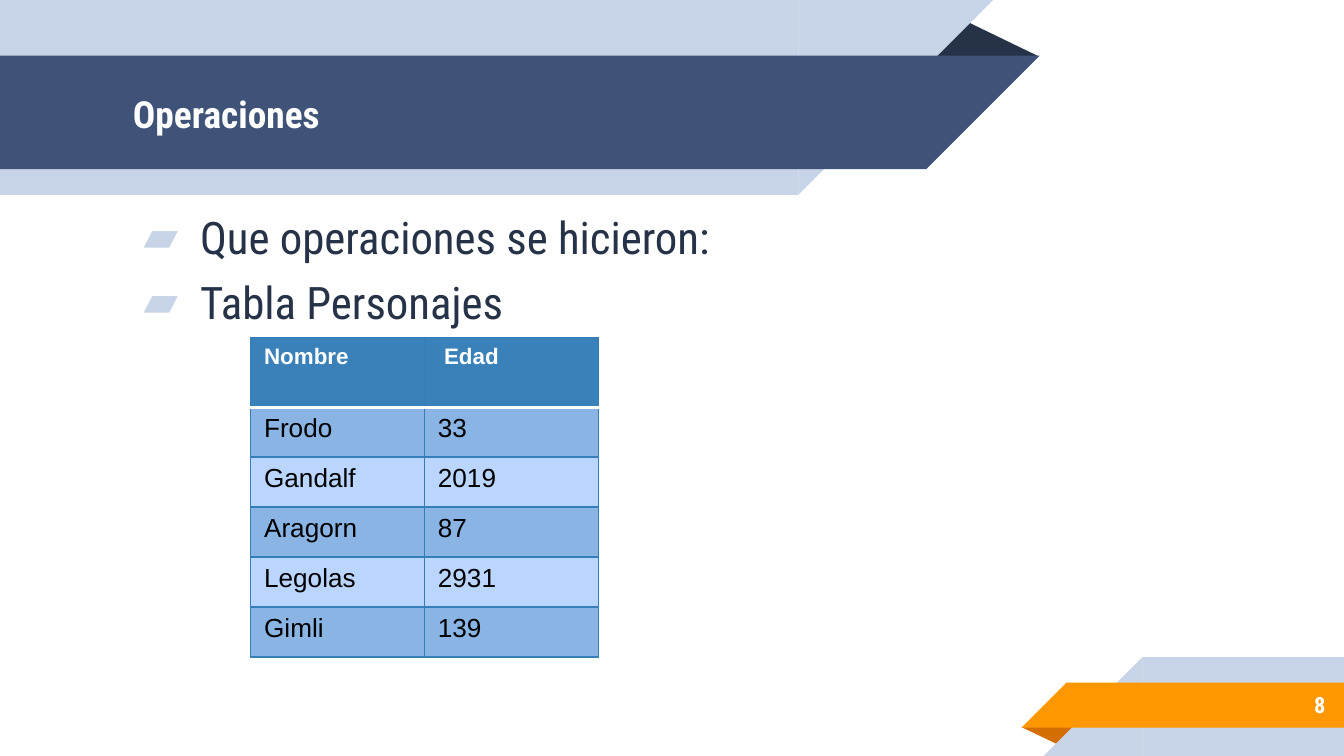
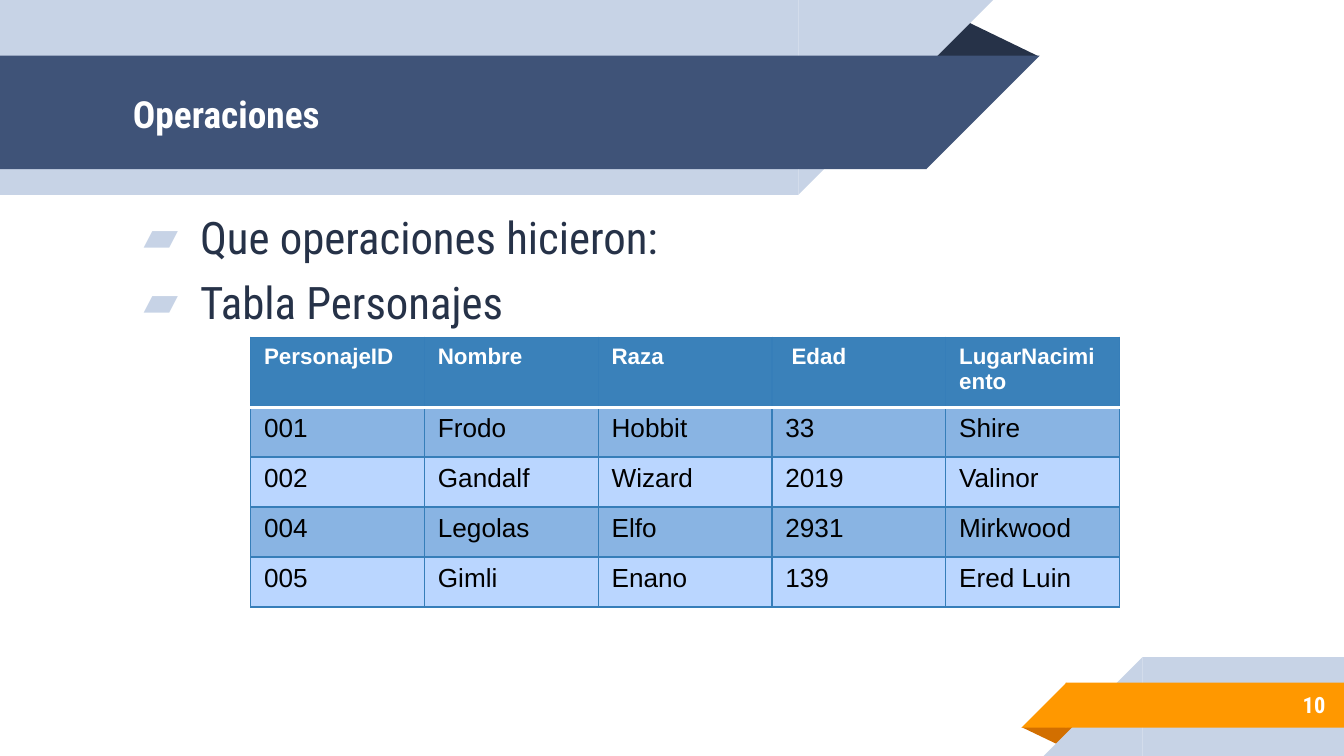
from lxml import etree
from pptx import Presentation
from pptx.dml.color import RGBColor
from pptx.enum.shapes import MSO_SHAPE
from pptx.enum.text import MSO_ANCHOR, PP_ALIGN
from pptx.oxml.ns import qn
from pptx.util import Inches, Pt

RECTANGLE = MSO_SHAPE.RECTANGLE
CORNER = MSO_SHAPE.RIGHT_TRIANGLE
FOLD = MSO_SHAPE.ISOSCELES_TRIANGLE
TOP, MIDDLE = MSO_ANCHOR.TOP, MSO_ANCHOR.MIDDLE
LEFT, RIGHT = PP_ALIGN.LEFT, PP_ALIGN.RIGHT

NAVY, BLUE, PALE = "263248", "3F5378", "C7D3E6"
ORANGE, RUST, WHITE, BLACK = "FF9800", "D26F00", "FFFFFF", "000000"
TABLE_HEADER, TABLE_LINE = "3A81BA", "367EB9"
ROW_FILLS = ["BAD6FF", "89B4E3"]
SLIDE_FONT, TABLE_FONT = "Roboto Condensed", "Arial"
color = RGBColor.from_string

presentation = Presentation()
presentation.slide_width = Inches(10)
presentation.slide_height = presentation.slide_width * 9 // 16
UNIT = presentation.slide_width / 100  # square grid, 100 columns wide

# Shape, fill, rotation, then left, top, width and height in grid units
BANDS = [
    (FOLD, NAVY, 0, (68.8, 1.4, 8.5, 2.8)),
    (RECTANGLE, PALE, 0, (0, 0, 59.4, 14.5)),
    (CORNER, PALE, 90, (59.4, 0, 14.5, 14.5)),
    (RECTANGLE, BLUE, 0, (0, 4.15, 68.9, 8.45)),
    (CORNER, BLUE, 90, (68.9, 4.15, 8.45, 8.45)),
    (FOLD, RUST, 180, (76, 54.1, 4.3, 1.4)),
    (RECTANGLE, PALE, 0, (85, 48.9, 15, 7.35)),
    (CORNER, PALE, 270, (77.65, 48.9, 7.35, 7.35)),
    (RECTANGLE, ORANGE, 0, (79.3, 50.8, 20.7, 3.35)),
    (CORNER, ORANGE, 270, (76, 50.8, 3.35, 3.35)),
]
TABLE_LEFT, TABLE_TOP, COLUMN_WIDTH = 18.65, 25.1, 12.93
HEADER_HEIGHT, ROW_HEIGHT = 5.2, 3.72

SLIDES = [
    ("8", "Que operaciones se hicieron:", [
        ["Nombre", " Edad"],
        ["Frodo", "33"],
        ["Gandalf", "2019"],
        ["Aragorn", "87"],
        ["Legolas", "2931"],
        ["Gimli", "139"],
    ]),
    ("10", "Que operaciones hicieron:", [
        ["PersonajeID", "Nombre", "Raza", " Edad", "LugarNacimiento"],
        ["001", "Frodo", "Hobbit", "33", "Shire"],
        ["002", "Gandalf", "Wizard", "2019", "Valinor"],
        ["004", "Legolas", "Elfo", "2931", "Mirkwood"],
        ["005", "Gimli", "Enano", "139", "Ered Luin"],
    ]),
]


def on_grid(*units):
    """Turn grid units into slide lengths."""
    return [round(value * UNIT) for value in units]


def add_text(slide, box, lines, size, fill, bold, anchor, alignment):
    """Add a text box and return its paragraphs."""
    frame = slide.shapes.add_textbox(*on_grid(*box)).text_frame
    frame.word_wrap = True
    frame.vertical_anchor = anchor
    frame.margin_left = frame.margin_right = Inches(0.1)
    frame.margin_top = frame.margin_bottom = Inches(0.1)
    frame.text = "\n".join(lines)
    for paragraph in frame.paragraphs:
        paragraph.alignment = alignment
        paragraph.font.name = SLIDE_FONT
        paragraph.font.size = Pt(size)
        paragraph.font.bold = bold
        paragraph.font.color.rgb = color(fill)
    return frame.paragraphs


for number, question, rows in SLIDES:
    slide = presentation.slides.add_slide(presentation.slide_layouts[6])

    for kind, fill, rotation, box in BANDS:
        shape = slide.shapes.add_shape(kind, *on_grid(*box))
        shape.shadow.inherit = False
        shape.fill.solid()
        shape.fill.fore_color.rgb = color(fill)
        shape.line.fill.background()
        shape.rotation = rotation
        if kind == FOLD:
            shape.adjustments[0] = 0.32

    add_text(slide, (8.9, 4.25, 60.1, 8.4), ["Operaciones"], 20, WHITE, True, MIDDLE, LEFT)
    add_text(slide, (83.3, 50.7, 16.3, 3.5), [number], 12, WHITE, True, MIDDLE, RIGHT)
    bullets = add_text(slide, (8.9, 14.6, 67.1, 34.4), [question, "Tabla Personajes"],
                       24, NAVY, False, TOP, LEFT)
    for paragraph in bullets:
        paragraph.space_before = Pt(6)
        properties = paragraph._p.get_or_add_pPr()
        properties.set("marL", str(Inches(0.5)))
        properties.set("indent", str(Inches(-0.42)))
        bullet_color = etree.SubElement(properties, qn("a:buClr"))
        etree.SubElement(bullet_color, qn("a:srgbClr"), val=PALE)
        etree.SubElement(properties, qn("a:buFont"), typeface=SLIDE_FONT)
        etree.SubElement(properties, qn("a:buChar"), char="▰")

    column_count = len(rows[0])
    heights = [HEADER_HEIGHT] + [ROW_HEIGHT] * (len(rows) - 1)
    table = slide.shapes.add_table(
        len(rows), column_count,
        *on_grid(TABLE_LEFT, TABLE_TOP, COLUMN_WIDTH * column_count, sum(heights))).table
    for row, height in zip(table.rows, on_grid(*heights)):
        row.height = height

    for row_index, values in enumerate(rows):
        is_header = row_index == 0
        for column_index, value in enumerate(values):
            cell = table.cell(row_index, column_index)
            cell.text = value
            cell.margin_left = cell.margin_right = Inches(0.1)
            cell.margin_top = cell.margin_bottom = Inches(0.05)
            font = cell.text_frame.paragraphs[0].font
            font.name = TABLE_FONT
            font.size = Pt(12 if is_header else 14)
            font.bold = is_header
            font.color.rgb = color(WHITE if is_header else BLACK)

            cell_properties = cell._tc.get_or_add_tcPr()
            for side in ("L", "R", "T", "B"):
                under_header = (row_index, side) in ((0, "B"), (1, "T"))
                line = etree.SubElement(cell_properties, qn(f"a:ln{side}"),
                                        w=str(Pt(2 if under_header else 0.75)))
                line_fill = etree.SubElement(line, qn("a:solidFill"))
                etree.SubElement(line_fill, qn("a:srgbClr"),
                                 val=WHITE if under_header else TABLE_LINE)
            cell.fill.solid()
            cell.fill.fore_color.rgb = color(TABLE_HEADER if is_header else ROW_FILLS[row_index % 2])

presentation.save("out.pptx")
